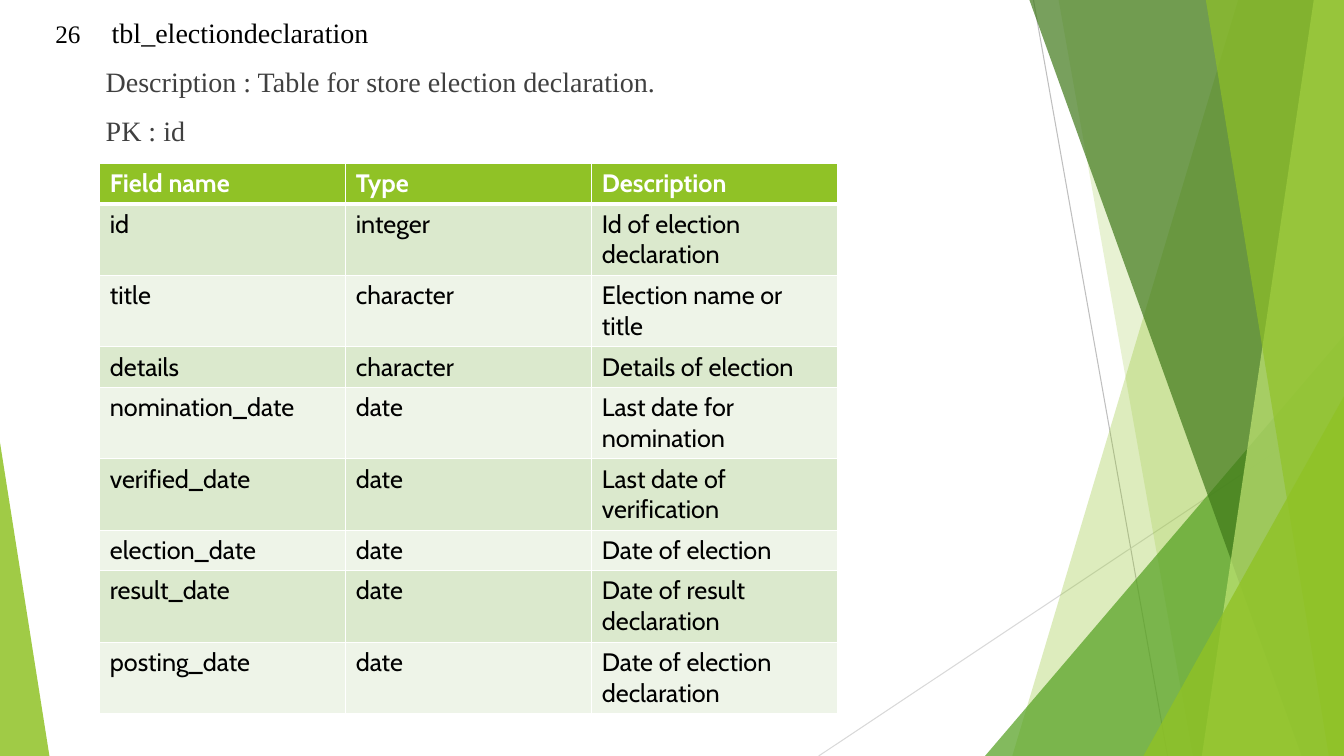
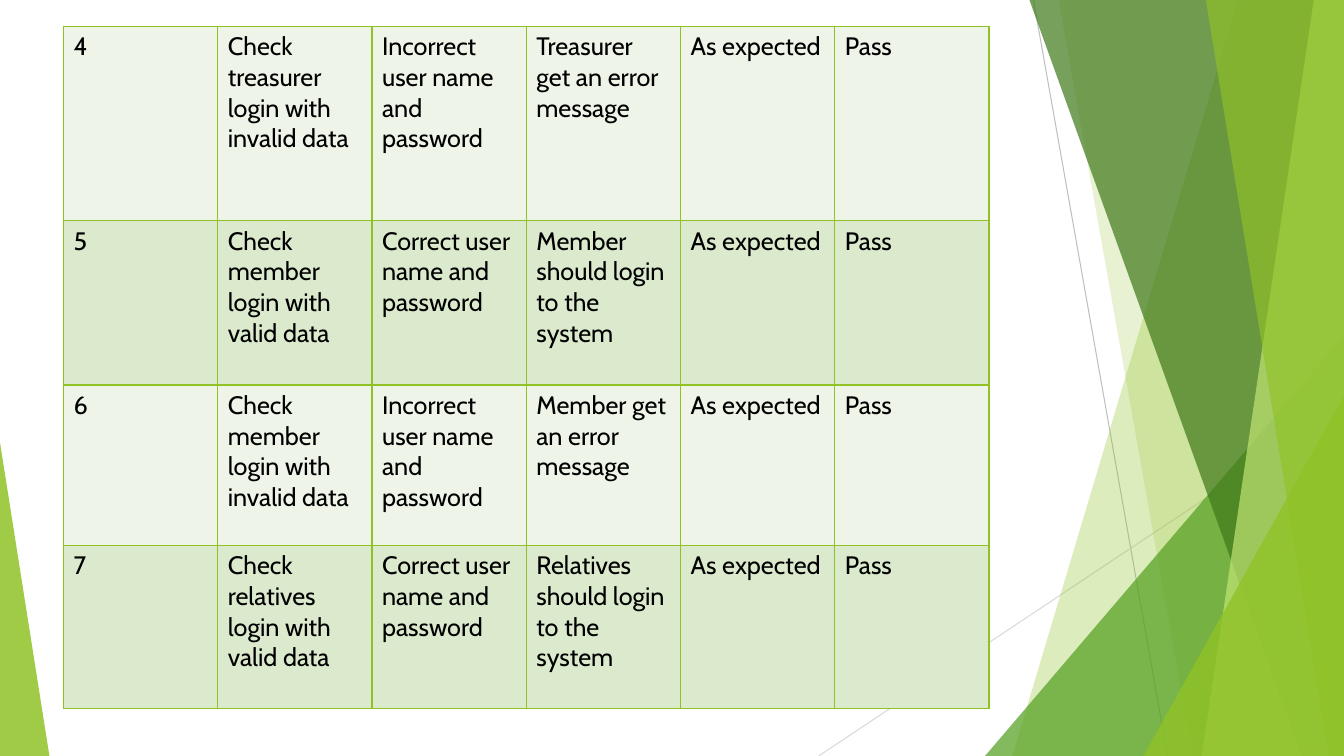
from pptx import Presentation
from pptx.dml.color import RGBColor
from pptx.enum.shapes import MSO_CONNECTOR, MSO_SHAPE
from pptx.oxml.ns import qn
from pptx.util import Pt
from lxml.etree import SubElement

PX = 9144  # 100 px to the inch
WIDTH, HEIGHT = 1333, 750
BLACK, WHITE, GREY = "000000", "FFFFFF", "404040"
GREEN, BAND_DARK, BAND_LIGHT = "90C226", "DBE9CD", "EEF4E8"
BODY_FONT, HEADING_FONT = "Cabin", "Times New Roman"

# Shared decoration, from back to front
HAIRLINES = [((1025, 0), (1158, HEIGHT), "BFBFBF"),
             ((WIDTH, 403), (812, HEIGHT), "D9D9D9")]
# Shards run to the right edge: (x at top, x at bottom, colour, opacity %)
# Corners: (left, top, width, apex from 0 left to 1 right, colour, opacity %)
FACETS = [("shard", 1228, 1004, GREEN, 30),
          ("shard", 1050, 1183, GREEN, 20),
          ("corner", 977, 333, 356, 1, "54A021", 72),
          ("shard", 1021, 1291, "3F7819", 70),
          ("shard", 1303, 1192, "C0E474", 70),
          ("shard", 1196, 1318, GREEN, 65),
          ("corner", 1134, 393, 199, 1, GREEN, 80),
          ("corner", 0, 439, 49, 0, GREEN, 85)]

TABLE_NUMBER, TABLE_NAME = "26", "tbl_electiondeclaration"
TABLE_NOTES = ["Description : Table for store election declaration.", "PK : id"]
FIELDS = [
    ("Field name", "Type", "Description"),
    ("id", "integer", "Id of election declaration"),
    ("title", "character", "Election name or title"),
    ("details", "character", "Details of election"),
    ("nomination_date", "date", "Last date for nomination"),
    ("verified_date", "date", "Last date of verification"),
    ("election_date", "date", "Date of election"),
    ("result_date", "date", "Date of result declaration"),
    ("posting_date", "date", "Date of election declaration"),
]
FIELD_HEIGHTS = [40, 71, 71, 40, 71, 71, 40, 71, 71]

TESTS = [
    ("4", "Check treasurer login with invalid data",
     "Incorrect user name and password", "Treasurer get an error message",
     "As expected", "Pass"),
    ("5", "Check member login with valid data",
     "Correct user name and password", "Member should login to the system",
     "As expected", "Pass"),
    ("6", "Check member login with invalid data",
     "Incorrect user name and password", "Member get an error message",
     "As expected", "Pass"),
    ("7", "Check relatives login with valid data",
     "Correct user name and password", "Relatives should login to the system",
     "As expected", "Pass"),
]
TEST_HEIGHTS = [193, 163, 159, 162]


def px(*lengths):
    return [length * PX for length in lengths]


def rgb(color):
    return RGBColor.from_string(color)


def write(paragraph, text, size=18, color=BLACK, font=BODY_FONT, bold=False):
    run = paragraph.add_run()
    run.text = text
    run.font.size, run.font.name, run.font.bold = Pt(size), font, bold
    run.font.color.rgb = rgb(color)


def paint(shape, color, opacity):
    """Give a flat, partly transparent fill with no line or shadow."""
    shape.shadow.inherit = False
    shape.line.fill.background()
    shape.fill.solid()
    shape.fill.fore_color.rgb = rgb(color)
    tint = shape.fill._xPr.find(qn("a:solidFill"))[0]
    SubElement(tint, qn("a:alpha"), val=str(opacity * 1000))


def add_hairline(slide, start, end, color):
    line = slide.shapes.add_connector(MSO_CONNECTOR.STRAIGHT, *px(*start, *end))
    line.line.color.rgb = rgb(color)
    line.line.width = Pt(0.75)
    SubElement(line._element.spPr, qn("a:effectLst"))


def add_shard(slide, top_x, bottom_x, color, opacity):
    builder = slide.shapes.build_freeform(top_x, 0, scale=PX)
    builder.add_line_segments([(WIDTH, 0), (WIDTH, HEIGHT), (bottom_x, HEIGHT)])
    paint(builder.convert_to_shape(), color, opacity)


def add_corner(slide, left, top, width, apex, color, opacity):
    corner = slide.shapes.add_shape(MSO_SHAPE.ISOSCELES_TRIANGLE,
                                    *px(left, top, width, HEIGHT - top))
    corner.adjustments[0] = apex
    paint(corner, color, opacity)


def add_decorated_slide(deck):
    slide = deck.slides.add_slide(deck.slide_layouts[6])
    for hairline in HAIRLINES:
        add_hairline(slide, *hairline)
    draw = {"shard": add_shard, "corner": add_corner}
    for kind, *facet in FACETS:
        draw[kind](slide, *facet)
    return slide


def set_borders(cell, color, top=1, bottom=1):
    """Draw all four borders; widths in points."""
    properties = cell._tc.get_or_add_tcPr()
    for side, width in (("L", 1), ("R", 1), ("T", top), ("B", bottom)):
        border = SubElement(properties, qn(f"a:ln{side}"), w=str(Pt(width)))
        fill = SubElement(border, qn("a:solidFill"))
        SubElement(fill, qn("a:srgbClr"), val=color)


def add_grid(slide, rows, left, top, column_width, heights, border, header):
    columns = len(rows[0])
    grid = slide.shapes.add_table(
        len(rows), columns,
        *px(left, top, column_width * columns, sum(heights))).table
    grid.first_row, grid.horz_banding = header, False
    for column in grid.columns:
        column.width = column_width * PX
    for r, (row, height) in enumerate(zip(rows, heights)):
        grid.rows[r].height = height * PX
        is_header = header and r == 0
        fill = GREEN if is_header else (BAND_LIGHT, BAND_DARK)[r % 2]
        for c, text in enumerate(row):
            cell = grid.cell(r, c)
            set_borders(cell, border, top=3 if header and r == 1 else 1,
                        bottom=3 if is_header else 1)
            cell.fill.solid()
            cell.fill.fore_color.rgb = rgb(fill)
            write(cell.text_frame.paragraphs[0], text, bold=is_header,
                  color=WHITE if is_header else BLACK)


def add_heading(slide):
    frame = slide.shapes.add_textbox(*px(45, 10, 953, 150)).text_frame
    frame.word_wrap = True
    name_line = frame.paragraphs[0]
    tabs = SubElement(name_line._p.get_or_add_pPr(), qn("a:tabLst"))
    SubElement(tabs, qn("a:tab"), pos=str(56 * PX), algn="l")
    write(name_line, TABLE_NUMBER + "\t", font=HEADING_FONT)
    write(name_line, TABLE_NAME, size=20, font=HEADING_FONT)
    for note in TABLE_NOTES:
        line = frame.add_paragraph()
        line._p.get_or_add_pPr().set("marL", str(50 * PX))
        line.space_before = Pt(11.3)
        write(line, note, size=20, color=GREY, font=HEADING_FONT)


def main():
    deck = Presentation()
    deck.slide_width, deck.slide_height = px(WIDTH, HEIGHT)

    declaration = add_decorated_slide(deck)
    add_heading(declaration)
    add_grid(declaration, FIELDS, 99, 162, 244, FIELD_HEIGHTS, WHITE, header=True)

    add_grid(add_decorated_slide(deck), TESTS, 63, 26, 153, TEST_HEIGHTS, GREEN,
             header=False)
    deck.save("out.pptx")


if __name__ == "__main__":
    main()
